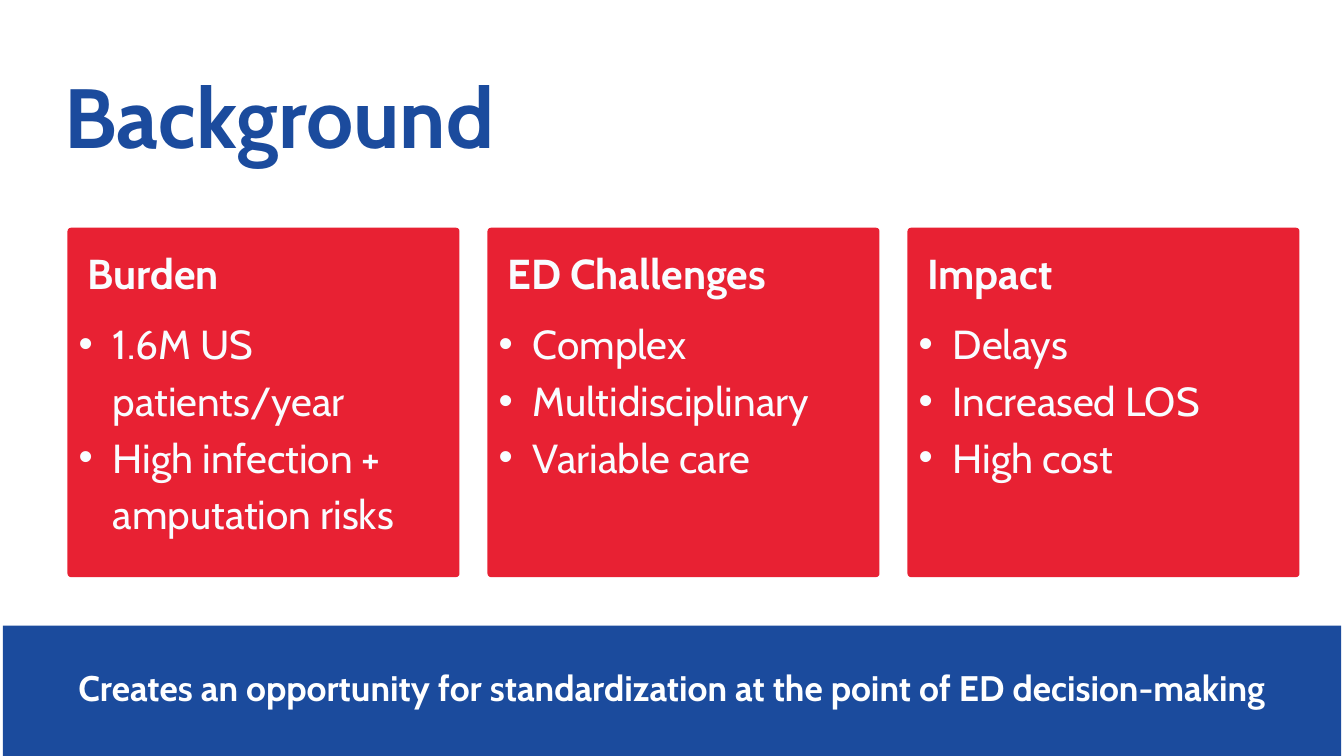
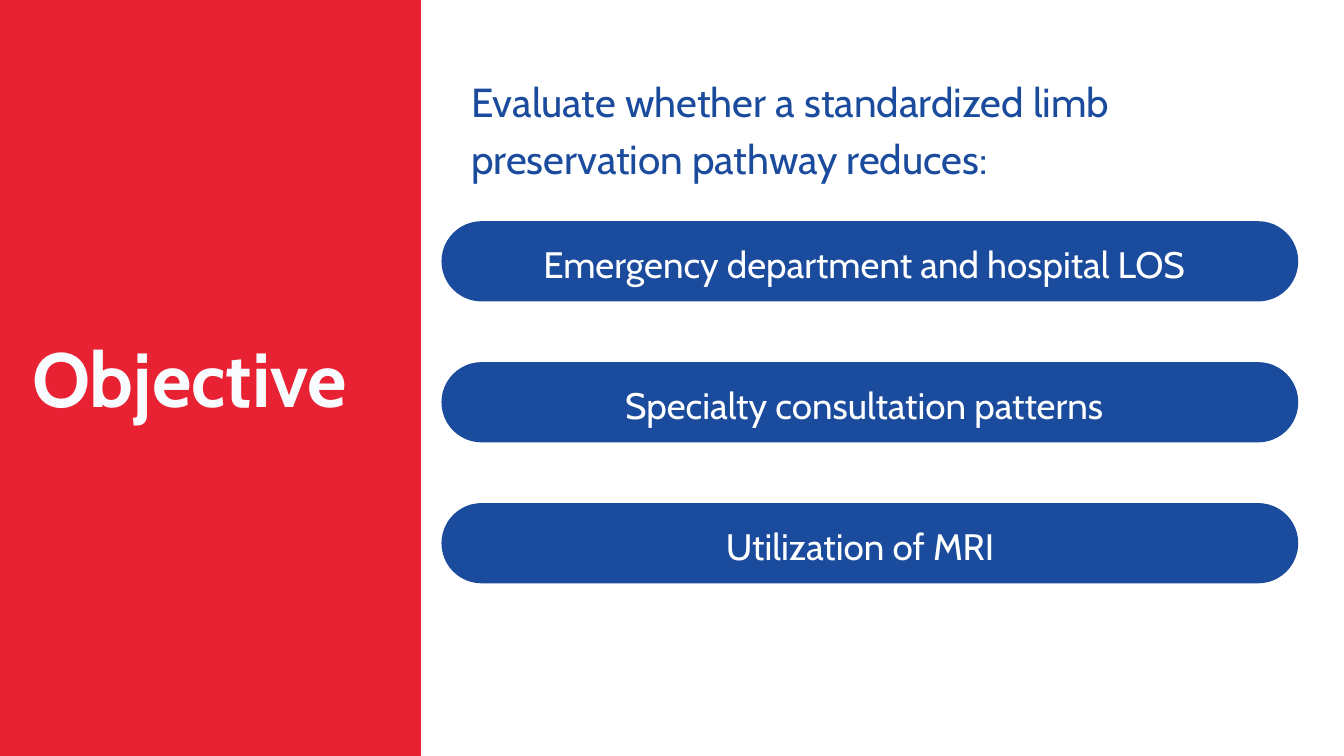
from lxml import etree
from pptx import Presentation
from pptx.dml.color import RGBColor
from pptx.enum import shapes, text
from pptx.oxml import ns
from pptx.util import Pt

FONT = "Cabin"
COLORS = {"blue": "1B4B9D", "red": "E82133", "pale": "F9FCFF", "white": "FFFFFF"}

# Card grid and pill stack, in points
CARD_LEFT, CARD_TOP, CARD_W, CARD_H, CARD_STEP = 72.3, 244, 420, 374.4, 450
PILL_LEFT, PILL_TOP, PILL_W, PILL_H, PILL_STEP = 473, 237, 918, 86, 151

CARDS = [
    ("Burden", ["1.6M US patients/year", "High infection + amputation risks"]),
    ("ED Challenges", ["Complex", "Multidisciplinary", "Variable care"]),
    ("Impact", ["Delays", "Increased LOS", "High cost"]),
]
PILLS = [
    "Emergency department and hospital LOS",
    "Specialty consultation patterns",
    "Utilization of MRI ",
]


def rgb(name):
    return RGBColor.from_string(COLORS[name])


def add_block(slide, box, color, radius=0):
    """Filled block; radius is a share of the shorter side."""
    kind = shapes.MSO_SHAPE.ROUNDED_RECTANGLE if radius else shapes.MSO_SHAPE.RECTANGLE
    sp = slide.shapes.add_shape(kind, *map(Pt, box))
    if radius:
        sp.adjustments[0] = radius
    sp.shadow.inherit = False
    sp.fill.solid()
    sp.fill.fore_color.rgb = rgb(color)
    sp.line.fill.background()
    return sp


def set_bullet(p, bullet):
    """Give the paragraph a hanging bullet, or none."""
    pPr = p._p.get_or_add_pPr()
    pPr.set("marL", str(Pt(73.4) if bullet else 0))
    pPr.set("indent", str(Pt(-36.7) if bullet else 0))
    if bullet:
        font = etree.SubElement(pPr, ns.qn("a:buFont"))
        font.set("typeface", "Arial")
        etree.SubElement(pPr, ns.qn("a:buChar")).set("char", "•")
    else:
        etree.SubElement(pPr, ns.qn("a:buNone"))


def write(sp, content, size, leading, color, bold=False, center=False, bullet=False):
    """Write one paragraph, or one per list item."""
    tf = sp.text_frame
    tf.word_wrap = True
    tf.auto_size = text.MSO_AUTO_SIZE.NONE
    tf.vertical_anchor = text.MSO_ANCHOR.TOP
    tf.margin_left = tf.margin_top = tf.margin_right = tf.margin_bottom = 0
    for i, line in enumerate([content] if isinstance(content, str) else content):
        p = tf.add_paragraph() if i else tf.paragraphs[0]
        set_bullet(p, bullet)
        p.alignment = text.PP_ALIGN.CENTER if center else text.PP_ALIGN.LEFT
        p.line_spacing = Pt(leading)
        p.space_before = p.space_after = Pt(0)
        r = p.add_run()
        r.text = line
        r.font.name, r.font.size, r.font.bold = FONT, Pt(size), bold
        r.font.color.rgb = rgb(color)


def add_text(slide, box, content, **fmt):
    write(slide.shapes.add_textbox(*map(Pt, box)), content, **fmt)


def fill_placeholder(slide, idx, box, content, **fmt):
    """Place a template placeholder on top of the blocks and fill it."""
    sp = slide.placeholders[idx]
    sp.left, sp.top, sp.width, sp.height = map(Pt, box)
    slide.shapes._spTree.append(sp._element)
    write(sp, content, **fmt)


def add_title(slide, box, content, size, color):
    fill_placeholder(slide, 0, box, content, size=size, leading=size * 1.2,
                     color=color, bold=True)


def remove_empty_placeholders(slide):
    for sp in list(slide.placeholders):
        if not sp.text_frame.text:
            sp._element.getparent().remove(sp._element)


def add_card(slide, i, heading, items):
    x = CARD_LEFT + i * CARD_STEP
    add_block(slide, (x, CARD_TOP, CARD_W, CARD_H), "red", 0.01)
    add_text(slide, (x + 21.3, 265.7, 345, 54), heading,
             size=44.8, leading=53.7, color="pale", bold=True)
    fill_placeholder(slide, i + 1, (x - 24.8, 333.4, 470 if i < 2 else 445, 238), items,
                     size=43.4, leading=60.7, color="pale", bullet=True)


def add_pill(slide, i, label):
    y = PILL_TOP + i * PILL_STEP
    add_block(slide, (PILL_LEFT, y, PILL_W, PILL_H), "blue", 0.5)
    add_text(slide, (544.3, y + 14, 763, 52), label,
             size=39.4, leading=55.2, color="white", center=True)


def build_background(prs):
    # The comparison layout offers a body placeholder for each card
    slide = prs.slides.add_slide(prs.slide_layouts[4])
    add_title(slide, (69, 69, 778, 109), "Background", 90, "blue")
    for i, (heading, items) in enumerate(CARDS):
        add_card(slide, i, heading, items)
    # Closing band
    add_block(slide, (3, 670.4, 1434, 139.6), "blue")
    add_text(slide, (0, 706.3, 1440, 52),
             "Creates an opportunity for standardization at the point of ED decision-making",
             size=38, leading=53.2, color="white", bold=True, center=True)
    remove_empty_placeholders(slide)


def build_objective(prs):
    slide = prs.slides.add_slide(prs.slide_layouts[1])
    # Side panel with the title
    add_block(slide, (0, 0, 451, 810), "red")
    add_title(slide, (34.6, 355, 381, 99), "Objective", 82, "pale")
    # Lead sentence and outcomes
    fill_placeholder(slide, 1, (504.7, 74.2, 854, 130),
                     "Evaluate whether a standardized limb preservation pathway reduces:",
                     size=43.4, leading=60.7, color="blue")
    for i, label in enumerate(PILLS):
        add_pill(slide, i, label)
    remove_empty_placeholders(slide)


def main():
    prs = Presentation()
    prs.slide_width, prs.slide_height = Pt(1440), Pt(810)
    build_background(prs)
    build_objective(prs)
    prs.save("out.pptx")


if __name__ == "__main__":
    main()
